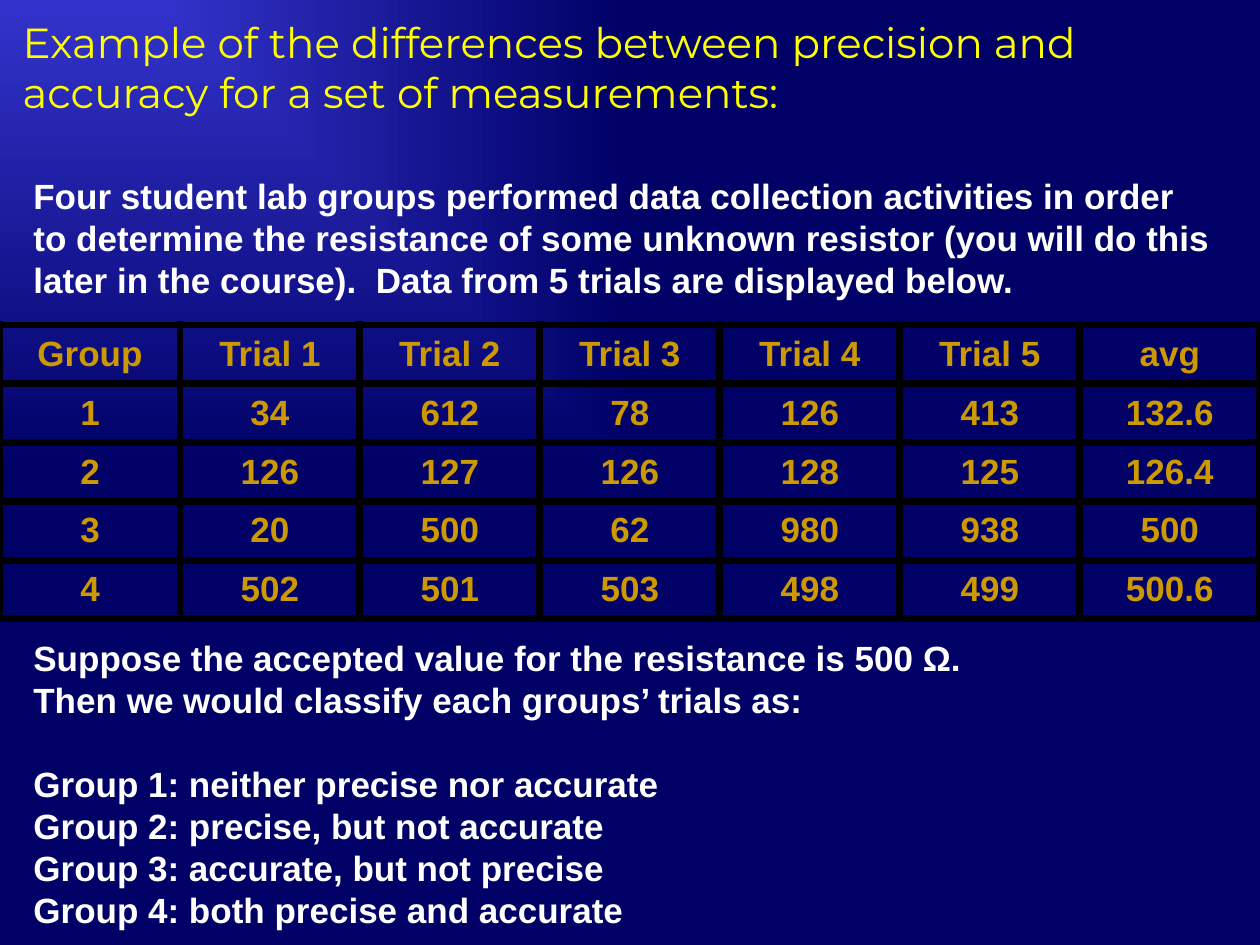
from lxml import etree
from pptx import Presentation
from pptx.dml.color import RGBColor
from pptx.enum.text import MSO_ANCHOR, MSO_AUTO_SIZE, PP_ALIGN
from pptx.oxml import parse_xml
from pptx.oxml.ns import nsdecls, qn
from pptx.util import Emu, Pt

SCALE = 914400 // 126
WHITE = RGBColor(0xFF, 0xFF, 0xFF)
YELLOW = RGBColor(0xFF, 0xFF, 0x00)
GOLD = RGBColor(0xCC, 0x99, 0x00)
BLUE = RGBColor(0x33, 0x33, 0xCC)
NAVY = RGBColor(0x00, 0x00, 0x66)
BLACK = RGBColor(0x00, 0x00, 0x00)

TITLE = "Example of the differences between precision and accuracy for a set of measurements:"
INTRO = [
    "Four student lab groups performed data collection activities in order to determine "
    "the resistance of some unknown resistor (you will do this later in the course).  "
    "Data from 5 trials are displayed below."
]
PREMISE = [
    "Suppose the accepted value for the resistance is 500 Ω.",
    "Then we would classify each groups’ trials as:",
]
VERDICTS = [
    "Group 1: neither precise nor accurate",
    "Group 2: precise, but not accurate",
    "Group 3: accurate, but not precise",
    "Group 4: both precise and accurate",
]
TRIALS = [
    ["Group", "Trial 1", "Trial 2", "Trial 3", "Trial 4", "Trial 5", "avg"],
    ["1", "34", "612", "78", "126", "413", "132.6"],
    ["2", "126", "127", "126", "128", "125", "126.4"],
    ["3", "20", "500", "62", "980", "938", "500"],
    ["4", "502", "501", "503", "498", "499", "500.6"],
]


def px(n):
    return Emu(n * SCALE)


def add_run(p, text, size, color, font="Arial", bold=True):
    r = p.add_run()
    r.text = text
    r.font.name = font
    r.font.size = Pt(size)
    r.font.bold = bold
    r.font.color.rgb = color


def set_background(slide):
    fill = slide.background.fill
    fill.gradient()
    for stop, color, position in zip(fill.gradient_stops, (BLUE, NAVY), (0, 1)):
        stop.color.rgb = color
        stop.position = position
    grad = slide.element.find(".//" + qn("a:gradFill"))
    lin = grad.find(qn("a:lin"))
    grad.replace(lin, parse_xml(
        f'<a:path {nsdecls("a")} path="rect">'
        '<a:fillToRect r="100000" b="100000"/></a:path>'))


def set_title(slide):
    sp = slide.shapes.title
    sp.left, sp.top, sp.width, sp.height = px(10), px(10), px(1229), px(115)
    tf = sp.text_frame
    tf.auto_size = MSO_AUTO_SIZE.NONE
    tf.vertical_anchor = MSO_ANCHOR.TOP
    p = tf.paragraphs[0]
    p.alignment = PP_ALIGN.LEFT
    add_run(p, TITLE, 24, YELLOW, "Montserrat", False)


def add_text(slide, top, height, lines, gap_before=None):
    tf = slide.shapes.add_textbox(px(21), px(top), px(1207), px(height)).text_frame
    tf.word_wrap = True
    for i, line in enumerate(lines):
        p = tf.paragraphs[0] if i == 0 else tf.add_paragraph()
        p.line_spacing = Pt(24)
        if i == gap_before:
            p.space_before = Pt(24)
        add_run(p, line, 20, WHITE)


def set_borders(cell):
    tc_pr = cell._tc.get_or_add_tcPr()
    for i, side in enumerate(("lnL", "lnR", "lnT", "lnB")):
        ln = etree.Element(qn(f"a:{side}"), w=str(Pt(4.5)))
        fill = etree.SubElement(ln, qn("a:solidFill"))
        etree.SubElement(fill, qn("a:srgbClr"), val=str(BLACK))
        tc_pr.insert(i, ln)


def add_trials(slide):
    rows, cols = len(TRIALS), len(TRIALS[0])
    table = slide.shapes.add_table(rows, cols, 0, px(325), px(1260), px(294)).table
    table.first_row = table.horz_banding = False
    for i, values in enumerate(TRIALS):
        for j, value in enumerate(values):
            cell = table.cell(i, j)
            cell.fill.background()
            cell.vertical_anchor = MSO_ANCHOR.MIDDLE
            set_borders(cell)
            p = cell.text_frame.paragraphs[0]
            p.alignment = PP_ALIGN.CENTER
            p.space_before = Pt(4)
            add_run(p, value, 20, GOLD)


def main():
    prs = Presentation()
    prs.slide_width, prs.slide_height = px(1260), px(945)
    slide = prs.slides.add_slide(prs.slide_layouts[5])
    set_background(slide)
    add_text(slide, 168, 139, INTRO)
    add_text(slide, 630, 307, PREMISE + VERDICTS, len(PREMISE))
    set_title(slide)
    add_trials(slide)
    prs.save("out.pptx")


if __name__ == "__main__":
    main()
